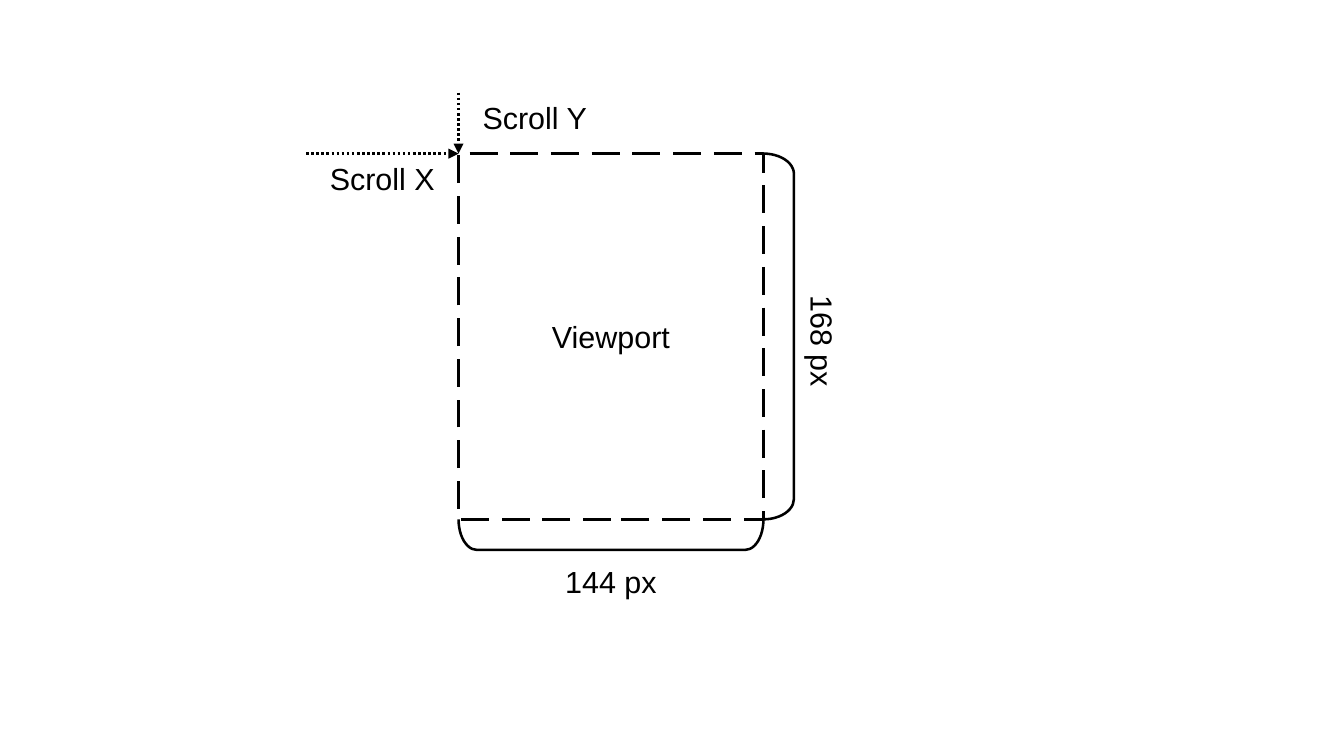
from lxml.etree import SubElement
from pptx import Presentation
from pptx.dml.color import RGBColor
from pptx.enum.dml import MSO_LINE
from pptx.enum.shapes import MSO_CONNECTOR, MSO_SHAPE
from pptx.enum.text import MSO_ANCHOR, PP_ALIGN
from pptx.oxml.ns import qn
from pptx.util import Inches, Pt

BLACK = "000000"
UNIT = 0.25
COLUMNS, ROWS = 10, 12
ARROW_LENGTH = {"x": 5 * UNIT, "y": 2 * UNIT}
LABEL_WIDTH, LABEL_HEIGHT = 5 * UNIT, 0.38


def color(value):
    return RGBColor.from_string(value)


def style_line(line, width=1.5):
    line.color.rgb = color(BLACK)
    line.width = Pt(width)


def write_text(frame, text, size=18, font="Arial", align=PP_ALIGN.CENTER,
               anchor=MSO_ANCHOR.TOP, wrap=True):
    frame.word_wrap = wrap
    frame.vertical_anchor = anchor
    paragraph = frame.paragraphs[0]
    paragraph.alignment = align
    run = paragraph.add_run()
    run.text = text
    run.font.size = Pt(size)
    run.font.name = font
    run.font.color.rgb = color(BLACK)


def add_label(slide, text, left, top, width, height, rotation=0, **text_format):
    box = slide.shapes.add_textbox(*map(Inches, (left, top, width, height)))
    box.rotation = rotation
    write_text(box.text_frame, text, **text_format)


def add_outline(slide, kind, left, top, width, height):
    shape = slide.shapes.add_shape(kind, *map(Inches, (left, top, width, height)))
    shape.shadow.inherit = False
    shape.fill.background()
    style_line(shape.line)
    return shape


def add_arrow(slide, *ends):
    arrow = slide.shapes.add_connector(MSO_CONNECTOR.STRAIGHT, *map(Inches, ends))
    style_line(arrow.line)
    arrow.line.dash_style = MSO_LINE.ROUND_DOT
    properties = arrow._element.spPr
    SubElement(properties.find(qn("a:ln")), qn("a:tailEnd"), type="triangle")
    SubElement(properties, qn("a:effectLst"))


def add_bracket(slide, center_x, center_y, length, curve, rotation=0):
    bracket = add_outline(slide, MSO_SHAPE.RIGHT_BRACKET, center_x - UNIT / 2,
                          center_y - length / 2, UNIT, length)
    bracket.adjustments[0] = curve
    bracket.rotation = rotation


def add_viewport(slide, left, top, width, height):
    viewport = add_outline(slide, MSO_SHAPE.RECTANGLE, left, top, width, height)
    dashes = SubElement(viewport.line._get_or_add_ln(), qn("a:custDash"))
    SubElement(dashes, qn("a:ds"), d="1100000", sp="500000")
    write_text(viewport.text_frame, "Viewport", anchor=MSO_ANCHOR.MIDDLE, wrap=False)


def add_scroll_offsets(slide, left, top):
    add_arrow(slide, left - ARROW_LENGTH["x"], top, left, top)
    add_arrow(slide, left, top - ARROW_LENGTH["y"], left, top)
    add_label(slide, "Scroll X", left - LABEL_WIDTH, top, LABEL_WIDTH, LABEL_HEIGHT)
    add_label(slide, "Scroll Y", left, top - ARROW_LENGTH["y"], LABEL_WIDTH, LABEL_HEIGHT)


def add_dimensions(slide, left, top, width, height):
    right, bottom = left + width, top + height
    add_bracket(slide, right + UNIT / 2, top + height / 2, height, 0.67)
    add_bracket(slide, left + width / 2, bottom + UNIT / 2, width, 0.6, rotation=90)
    add_label(slide, "168 px", right - 0.16, top + height / 2 - 0.03, LABEL_WIDTH, 0.44,
              rotation=90, align=PP_ALIGN.LEFT)
    add_label(slide, "144 px", left, bottom + 0.31, width, 0.66)


def main():
    presentation = Presentation()
    presentation.slide_width = Inches(11.02)
    presentation.slide_height = Inches(6.2)
    slide = presentation.slides.add_slide(presentation.slide_layouts[6])
    box = (3.76, 1.26, COLUMNS * UNIT, ROWS * UNIT)
    add_scroll_offsets(slide, *box[:2])
    add_viewport(slide, *box)
    add_dimensions(slide, *box)
    presentation.save("out.pptx")


if __name__ == "__main__":
    main()
